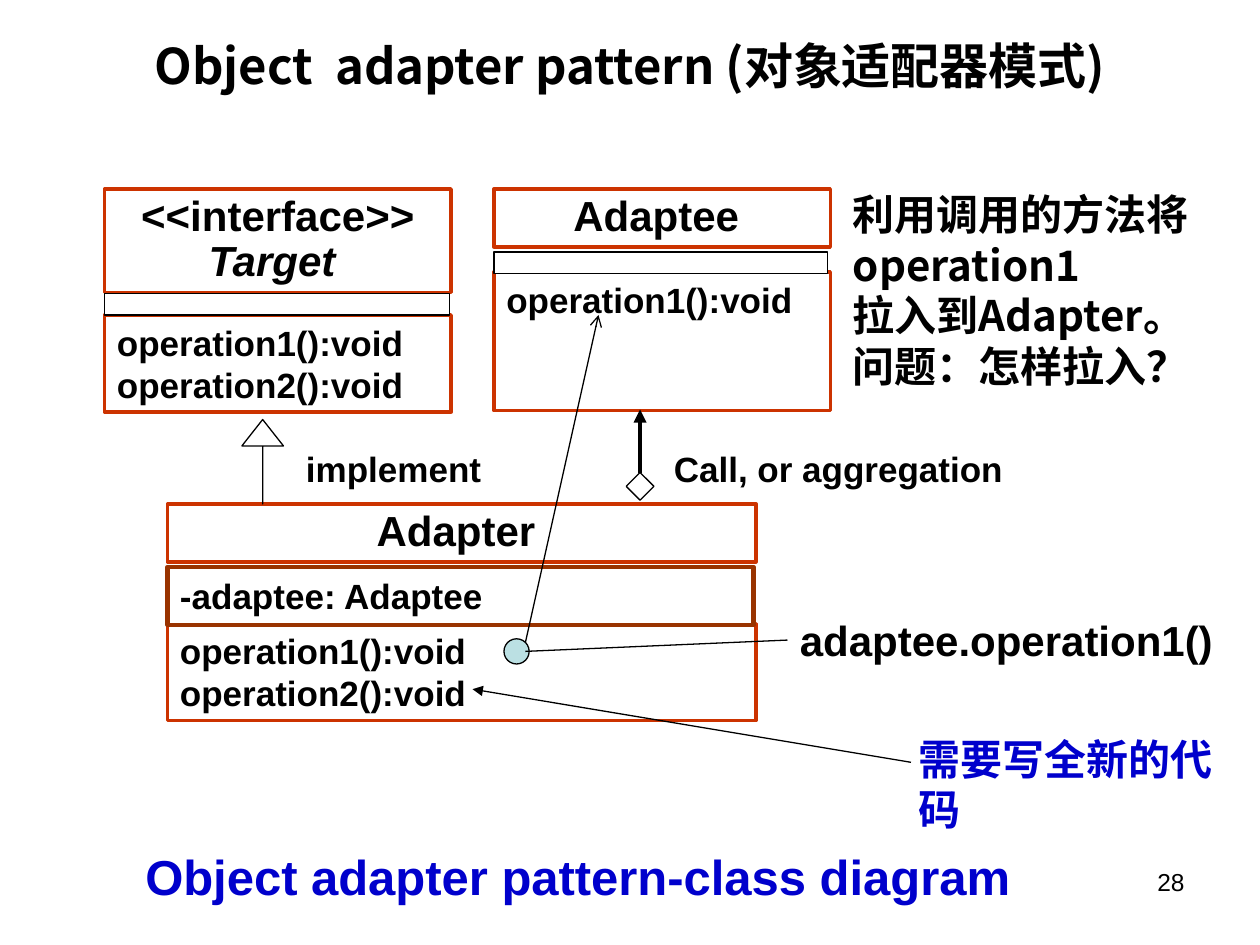
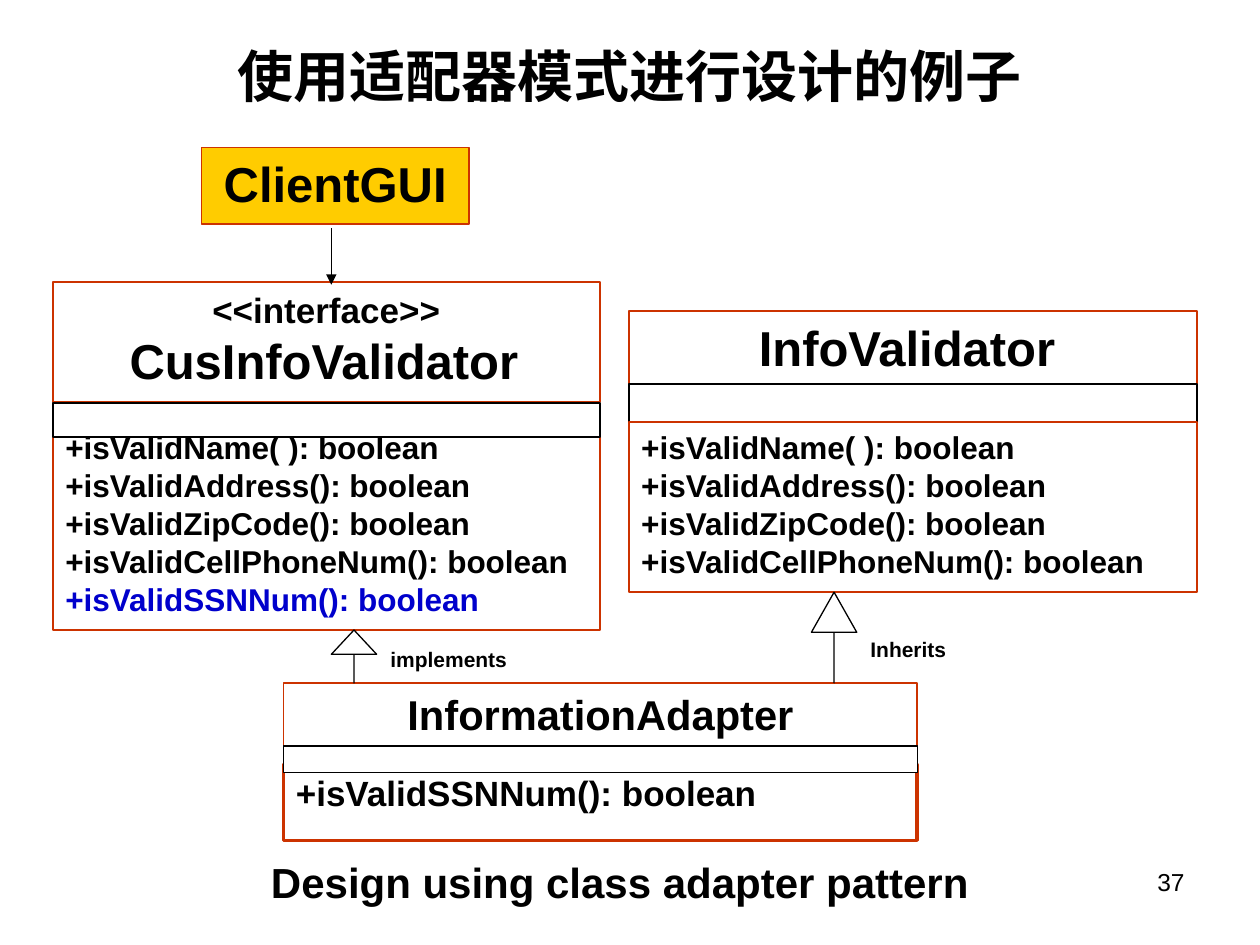
from dataclasses import dataclass

import lxml.etree
import pptx
import pptx.dml.color
import pptx.enum.shapes
import pptx.enum.text
import pptx.oxml.ns
import pptx.shapes.autoshape
import pptx.shapes.connector
import pptx.slide
import pptx.text.text
import pptx.util

Inches = pptx.util.Inches
Pt = pptx.util.Pt
qn = pptx.oxml.ns.qn
SHAPE = pptx.enum.shapes.MSO_SHAPE
ANCHOR = pptx.enum.text.MSO_ANCHOR
ALIGN = pptx.enum.text.PP_ALIGN

COLORS = {
    "paper": "FFFFFF",
    "ink": "000000",
    "border": "CC3300",
    "brown": "993300",
    "accent": "0000CC",
    "gold": "FFCC00",
    "aqua": "BBE0E3",
}
LATIN = "Arial"
CHINESE = "Noto Sans CJK SC"


@dataclass(frozen=True)
class Span:
    text: str
    size: float
    color: str = "ink"
    bold: bool = True
    italic: bool = False
    font: str = LATIN


# A line of text is one paragraph made of spans
Lines = tuple[tuple[Span, ...], ...]


@dataclass(frozen=True)
class Label:
    left: float
    top: float
    width: float
    height: float
    lines: Lines
    align: ALIGN = ALIGN.LEFT
    anchor: ANCHOR = ANCHOR.TOP


@dataclass(frozen=True)
class Panel:
    top: float
    height: float
    lines: Lines = ()
    align: ALIGN = ALIGN.LEFT
    border: str = "border"
    weight: float = 2
    anchor: ANCHOR = ANCHOR.TOP
    spacing: float = 1.0
    trim: float = 0


@dataclass(frozen=True)
class ClassBox:
    """A UML class; its panels are drawn from back to front."""
    left: float
    width: float
    panels: tuple[Panel, ...]


@dataclass(frozen=True)
class Arrow:
    start: tuple[float, float]
    end: tuple[float, float]
    head: str = ""
    weight: float = 0.75


@dataclass(frozen=True)
class Inheritance:
    left: float
    top: float
    width: float
    height: float
    head: float


def one_style(size: float, *texts: str, **style) -> Lines:
    return tuple((Span(text, size, **style),) for text in texts)


def rgb(name: str) -> pptx.dml.color.RGBColor:
    return pptx.dml.color.RGBColor.from_string(COLORS[name])


# Text
def write_lines(frame: pptx.text.text.TextFrame, lines: Lines, align: ALIGN,
                anchor: ANCHOR, spacing: float = 1.0) -> None:
    frame.word_wrap = True
    frame.vertical_anchor = anchor
    for index, spans in enumerate(lines):
        paragraph = frame.add_paragraph() if index else frame.paragraphs[0]
        paragraph.alignment = align
        paragraph.line_spacing = spacing
        for span in spans:
            run = paragraph.add_run()
            run.text = span.text
            run.font.name = span.font
            run.font.size = Pt(span.size)
            run.font.bold = span.bold
            run.font.italic = span.italic
            run.font.color.rgb = rgb(span.color)
            east_asian = lxml.etree.SubElement(run.font._element, qn("a:ea"))
            east_asian.set("typeface", span.font)


def add_label(slide: pptx.slide.Slide, label: Label) -> None:
    box = slide.shapes.add_textbox(Inches(label.left), Inches(label.top),
                                   Inches(label.width), Inches(label.height))
    write_lines(box.text_frame, label.lines, label.align, label.anchor)


# Shapes
def add_shape(slide: pptx.slide.Slide, kind: SHAPE, left: float, top: float,
              width: float, height: float, fill: str = "paper", border: str = "ink",
              weight: float = 0.75) -> pptx.shapes.autoshape.Shape:
    shape = slide.shapes.add_shape(kind, Inches(left), Inches(top),
                                   Inches(width), Inches(height))
    shape.shadow.inherit = False
    shape.fill.solid()
    shape.fill.fore_color.rgb = rgb(fill)
    if weight:
        shape.line.color.rgb = rgb(border)
        shape.line.width = Pt(weight)
    else:
        shape.line.fill.background()
    return shape


def add_text_box(slide: pptx.slide.Slide, label: Label, fill: str = "paper",
                 weight: float = 0) -> pptx.shapes.autoshape.Shape:
    shape = add_shape(slide, SHAPE.RECTANGLE, label.left, label.top, label.width,
                      label.height, fill, "border", weight)
    write_lines(shape.text_frame, label.lines, label.align, label.anchor)
    return shape


def add_class(slide: pptx.slide.Slide, box: ClassBox) -> None:
    for panel in box.panels:
        shape = add_shape(slide, SHAPE.RECTANGLE, box.left, panel.top,
                          box.width - panel.trim, panel.height,
                          border=panel.border, weight=panel.weight)
        write_lines(shape.text_frame, panel.lines, panel.align, panel.anchor,
                    panel.spacing)


def add_inheritance(slide: pptx.slide.Slide, mark: Inheritance) -> None:
    shape = add_shape(slide, SHAPE.UP_ARROW, mark.left, mark.top, mark.width, mark.height)
    shape.adjustments[0] = 0
    shape.adjustments[1] = mark.head


def add_arrow(slide: pptx.slide.Slide, arrow: Arrow) -> pptx.shapes.connector.Connector:
    connector = slide.shapes.add_connector(
        pptx.enum.shapes.MSO_CONNECTOR.STRAIGHT,
        *(Inches(value) for value in arrow.start + arrow.end))
    connector.line.color.rgb = rgb("ink")
    connector.line.width = Pt(arrow.weight)
    if arrow.head:
        line = connector.line._get_or_add_ln()
        lxml.etree.SubElement(line, qn("a:tailEnd")).set("type", arrow.head)
    lxml.etree.SubElement(connector._element.spPr, qn("a:effectLst"))
    return connector


# Slide frame: title and page number
def start_slide(presentation: pptx.presentation.Presentation, title: str, size: float,
                top: float, number: str) -> pptx.slide.Slide:
    slide = presentation.slides.add_slide(presentation.slide_layouts[6])
    slide.background.fill.solid()
    slide.background.fill.fore_color.rgb = rgb("paper")
    add_label(slide, Label(0.5, top, 9, 0.53, one_style(size, title, font=CHINESE),
                           ALIGN.CENTER, ANCHOR.MIDDLE))
    add_label(slide, Label(7.17, 6.83, 2.33, 0.52, one_style(14, number, bold=False),
                           ALIGN.RIGHT))
    return slide


def name_panel(top: float, height: float, lines: Lines, weight: float = 1,
               spacing: float = 1.0) -> Panel:
    return Panel(top, height, lines, ALIGN.CENTER, weight=weight, spacing=spacing)


def empty_panel(top: float, height: float, weight: float = 0.75, trim: float = 0) -> Panel:
    return Panel(top, height, border="ink", weight=weight, trim=trim)


def build_object_adapter(presentation: pptx.presentation.Presentation) -> None:
    slide = start_slide(presentation, "Object  adapter pattern (对象适配器模式)", 28, 0.25, "28")
    operations = one_style(20, "operation1():void", "operation2():void")

    # Classes
    target_name = ((Span("<<interface>>", 24),), (Span("Target ", 24, italic=True),))
    for box in (
        ClassBox(0.83, 2.75, (
            Panel(2.5, 0.77, operations),
            name_panel(1.5, 0.82, target_name, 2, 0.9),
            empty_panel(2.33, 0.17, trim=0.01))),
        ClassBox(3.92, 2.67, (
            Panel(2.16, 1.1, operations[:1]),
            name_panel(1.5, 0.46, one_style(24, "Adaptee "), 2, 0.9),
            empty_panel(2, 0.17, trim=0.02))),
        ClassBox(1.33, 4.67, (
            Panel(4.95, 0.77, operations),
            name_panel(4, 0.46, one_style(24, "Adapter "), 2, 0.9),
            Panel(4.5, 0.46, one_style(20, "-adaptee: Adaptee"), border="brown",
                  weight=2.5, anchor=ANCHOR.MIDDLE, trim=0.02))),
    ):
        add_class(slide, box)

    # Relations
    add_inheritance(slide, Inheritance(1.92, 3.33, 0.33, 0.67, 0.635))
    diamond = add_shape(slide, SHAPE.DIAMOND, 4.97, 3.75, 0.22, 0.22)
    call = add_arrow(slide, Arrow((5.08, 3.75), (5.08, 3.25), "triangle", 2.5))
    call.begin_connect(diamond, 0)

    # Notes and captions
    for label in (
        Label(5.25, 3.5, 3, 0.44, one_style(20, "Call, or aggregation")),
        Label(2.33, 3.5, 1.75, 0.44, one_style(20, "implement")),
        Label(0.67, 6.67, 7.83, 0.57,
              one_style(28, "Object adapter pattern-class diagram", color="accent"),
              ALIGN.CENTER),
        Label(7.19, 5.77, 2.56, 0.9,
              one_style(24, "需要写全新的代码", color="accent", font=CHINESE)),
        Label(6.67, 1.45, 3.17, 1.7,
              one_style(24, "利用调用的方法将operation1", "拉入到Adapter。",
                        "问题：怎样拉入？", font=CHINESE)),
    ):
        add_label(slide, label)

    # Pointers to the operations
    add_arrow(slide, Arrow((7.23, 6.05), (3.75, 5.47), "triangle"))
    add_shape(slide, SHAPE.OVAL, 4, 5.07, 0.2, 0.2, "aqua")
    delegate = add_text_box(slide, Label(6.25, 4.83, 3.67, 0.5,
                                         one_style(24, "adaptee.operation1()")))
    add_arrow(slide, Arrow((4.17, 5.17), (6.25, 5.08))).end_connect(delegate, 1)
    add_arrow(slide, Arrow((4.17, 5.1), (4.75, 2.5), "arrow"))


def build_class_adapter(presentation: pptx.presentation.Presentation) -> None:
    slide = start_slide(presentation, "使用适配器模式进行设计的例子", 32, 0.33, "37")
    checks = one_style(18, "+isValidName( ): boolean", "+isValidAddress(): boolean",
                       "+isValidZipCode(): boolean +isValidCellPhoneNum(): boolean")
    new_check = "+isValidSSNNum(): boolean"
    interface_name = ((Span("<<interface>>", 20),),
                      (Span("CusInfoValidator", 28), Span(" ", 10)))

    # Classes
    for box in (
        ClassBox(0.42, 4.34, (
            Panel(3.35, 1.65, checks + one_style(18, new_check, color="accent"), weight=1),
            name_panel(2.24, 0.95, interface_name),
            empty_panel(3.2, 0.27, 1))),
        ClassBox(2.25, 5.03, (
            Panel(6.07, 0.6, one_style(20, new_check)),
            name_panel(5.42, 0.51, one_style(23.8, "InformationAdapter")),
            empty_panel(5.92, 0.21))),
        ClassBox(4.99, 4.51, (
            name_panel(2.47, 0.64, ((Span("InfoValidator", 28), Span(" ", 24)),)),
            empty_panel(3.05, 0.32, 1),
            Panel(3.35, 1.35, checks, weight=1))),
    ):
        add_class(slide, box)
    add_text_box(slide, Label(1.6, 1.17, 2.12, 0.61, one_style(28, "ClientGUI"),
                              ALIGN.CENTER), "gold", 1)

    # Relations
    add_text_box(slide, Label(6.81, 5, 1.63, 0.3, one_style(12, "Inherits")))
    add_text_box(slide, Label(3, 5.08, 1.97, 0.3, one_style(12, "implements")))
    add_inheritance(slide, Inheritance(2.63, 5, 0.36, 0.42, 0.537))
    add_inheritance(slide, Inheritance(6.44, 4.7, 0.36, 0.72, 0.885))
    add_arrow(slide, Arrow((2.63, 1.81), (2.63, 2.26), "triangle"))

    # Caption
    add_label(slide, Label(0.92, 6.75, 8, 0.5,
                           one_style(24, "Design using class adapter pattern"),
                           ALIGN.CENTER))


def main() -> None:
    presentation = pptx.Presentation()
    presentation.slide_width = Inches(10)
    presentation.slide_height = Inches(7.5)
    build_object_adapter(presentation)
    build_class_adapter(presentation)
    presentation.save("out.pptx")


if __name__ == "__main__":
    main()
